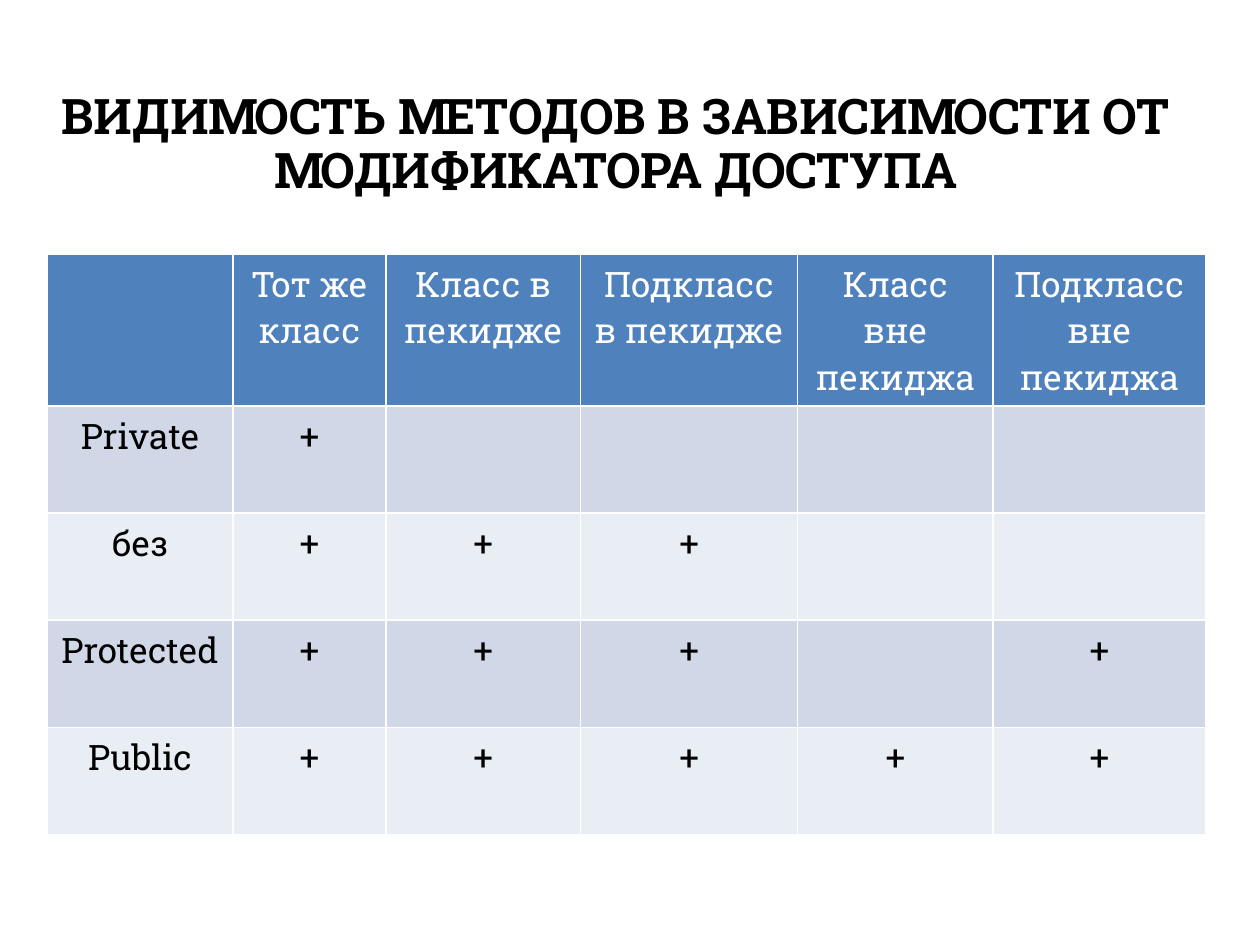
"""Slide: visibility of methods by access modifier, as a titled table."""
from pptx import Presentation
from pptx.dml.color import RGBColor
from pptx.enum.text import MSO_AUTO_SIZE, PP_ALIGN
from pptx.util import Pt

CENTER = PP_ALIGN.CENTER
FIT_SHAPE = MSO_AUTO_SIZE.SHAPE_TO_FIT_TEXT
FONT = "Roboto Slab"
COLORS = {
    "header": "4F81BD",
    "odd": "D0D8E8",
    "even": "E9EDF4",
    "light": "FFFFFF",
    "dark": "000000",
}
ROWS = [
    ["", "Тот же класс", "Класс в пекидже", "Подкласс в пекидже",
     "Класс вне пекиджа", "Подкласс вне пекиджа"],
    ["Private", "+", "", "", "", ""],
    ["без", "+", "+", "+", "", ""],
    ["Protected", "+", "+", "+", "", "+"],
    ["Public", "+", "+", "+", "+", "+"],
]
COLUMN_WIDTHS = [106.2, 87.5, 111.1, 124.2, 111.6, 121.5]
ROW_HEIGHT = 61.2


def write(frame, text, size, color, bold):
    frame.text = text
    paragraph = frame.paragraphs[0]
    paragraph.alignment = CENTER
    for run in paragraph.runs:
        run.font.name = FONT
        run.font.size = Pt(size)
        run.font.bold = bold
        run.font.color.rgb = RGBColor.from_string(COLORS[color])


prs = Presentation()
prs.slide_width, prs.slide_height = Pt(720), Pt(540)
slide = prs.slides.add_slide(prs.slide_layouts[6])

visibility = slide.shapes.add_table(
    len(ROWS), len(COLUMN_WIDTHS), Pt(26.9), Pt(145.5),
    Pt(sum(COLUMN_WIDTHS)), Pt(ROW_HEIGHT * len(ROWS))).table
for column, width in zip(visibility.columns, COLUMN_WIDTHS):
    column.width = Pt(width)

for r, labels in enumerate(ROWS):
    visibility.rows[r].height = Pt(ROW_HEIGHT)
    band = "header" if r == 0 else "odd" if r % 2 else "even"
    ink = "light" if r == 0 else "dark"
    for c, label in enumerate(labels):
        cell = visibility.cell(r, c)
        cell.fill.solid()
        cell.fill.fore_color.rgb = RGBColor.from_string(COLORS[band])
        write(cell.text_frame, label, 20, ink, False)

heading = slide.shapes.add_textbox(Pt(14.4), Pt(49), Pt(674.6), Pt(74.9)).text_frame
heading.word_wrap = True
heading.auto_size = FIT_SHAPE
write(heading, "ВИДИМОСТЬ МЕТОДОВ В ЗАВИСИМОСТИ ОТ МОДИФИКАТОРА ДОСТУПА",
      28, "dark", True)
heading.paragraphs[0].line_spacing = 0.91

prs.save("out.pptx")
